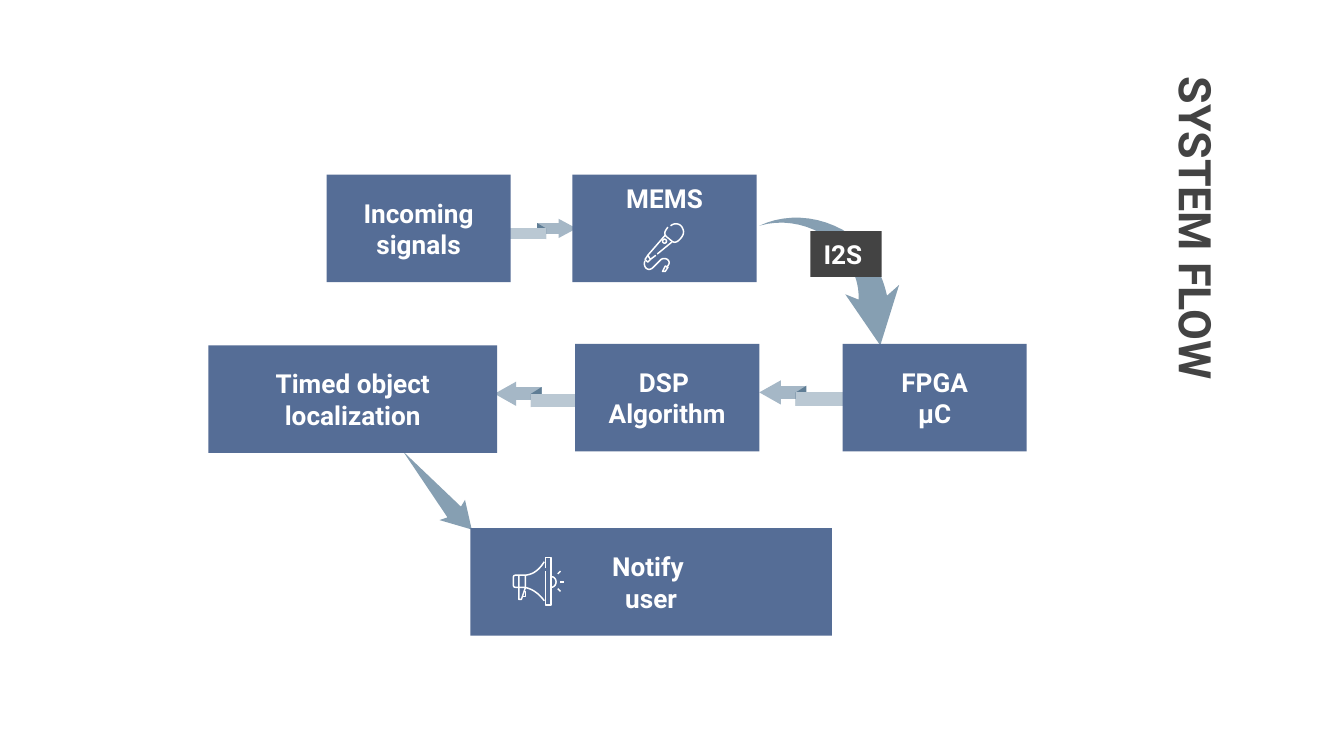
from pptx import Presentation
from pptx.dml.color import RGBColor
from pptx.enum.shapes import MSO_SHAPE as SHAPE
from pptx.enum.text import MSO_ANCHOR as ANCHOR, MSO_AUTO_SIZE as AUTO, PP_ALIGN as ALIGN
from pptx.util import Inches, Pt

FONT = "Roboto"
WHITE = RGBColor(0xFF, 0xFF, 0xFF)
DARK = RGBColor(0x43, 0x43, 0x43)
BLUE = RGBColor(0x55, 0x6D, 0x96)
STEEL = RGBColor(0x86, 0x9F, 0xB2)
RIBBON = RGBColor(0xA5, 0xB7, 0xC6)
RIBBON_FOLD = RGBColor(0x5F, 0x7D, 0x95)
RIBBON_TAIL = RGBColor(0xBA, 0xC8, 0xD3)

# Content: text, left, top, width
TITLE = "SYSTEM FLOW"
BOX_H = 0.8
BOXES = [
    ("Incoming signals", 2.43, 1.3, 1.37),
    ("MEMS", 4.26, 1.3, 1.37),
    ("FPGA\vµC", 6.27, 2.56, 1.37),
    ("DSP \nAlgorithm", 4.28, 2.56, 1.37),
    ("Timed object localization", 1.55, 2.57, 2.15),
    ("Notify \vuser", 3.5, 3.93, 2.69),
]

# Ribbon arrows: tip x, tip y, horizontal scale (negative points right), vertical scale
RIBBONS = [(3.68, 2.93, 1, 1), (4.29, 1.7, -0.84, 0.8), (5.65, 2.92, 1, 1)]
RIBBON_PARTS = [
    (RIBBON, [(0, 0), (0.16, -0.09), (0.16, 0.09)]),
    (RIBBON, [(0.15, -0.05), (0.35, -0.05), (0.35, 0.05), (0.15, 0.05)]),
    (RIBBON_FOLD, [(0.35, -0.05), (0.35, 0.05), (0.27, 0.1), (0.27, 0)]),
    (RIBBON_TAIL, [(0.27, 0), (0.62, 0), (0.62, 0.1), (0.27, 0.1)]),
]

# Outlines: two numbers are a corner, six numbers are a cubic curve
BUS_ARROW = [
    (6.69, 2.12), (6.6, 2.2), (6.58, 2.11, 6.55, 2.03, 6.5, 1.95),
    (6.45, 1.85, 6.36, 1.77, 6.27, 1.71), (6.07, 1.6, 5.84, 1.59, 5.65, 1.68),
    (5.85, 1.62, 6.06, 1.68, 6.2, 1.8), (6.27, 1.86, 6.32, 1.94, 6.35, 2.03),
    (6.38, 2.09, 6.39, 2.16, 6.39, 2.23), (6.29, 2.19), (6.55, 2.57),
]
NOTIFY_ARROW = [(3.46, 3.72), (3.43, 3.77), (3, 3.36), (3.33, 3.85),
                (3.27, 3.87), (3.51, 3.94)]

# Icon strokes
MICROPHONE = [
    [(4.99, 1.68), (5.03, 1.65, 5.07, 1.67, 5.08, 1.7),
     (5.1, 1.74, 5.07, 1.77, 5.05, 1.79), (5.01, 1.82, 5, 1.79, 4.97, 1.77),
     (4.93, 1.74, 4.95, 1.72, 4.97, 1.69)],
    [(4.95, 1.75), (4.82, 1.9), (4.84, 1.93), (4.88, 1.9)],
    [(4.89, 1.89), (5, 1.8)],
    [(4.82, 1.9), (4.8, 1.93), (4.82, 1.95), (4.84, 1.93)],
    [(4.8, 1.94), (4.78, 1.98, 4.82, 2.03, 4.86, 1.99), (4.92, 1.93),
     (4.95, 1.91, 5.01, 1.94, 4.96, 1.99)],
    [(4.95, 1.98), (4.97, 1.99), (4.95, 2.02), (4.93, 2.02), (4.95, 1.98)],
]
MEGAPHONE = [
    [(4.06, 4.23), (4.06, 4.15), (4.1, 4.15), (4.1, 4.5), (4.06, 4.5), (4.06, 4.25)],
    [(4.05, 4.18), (4.02, 4.23, 3.97, 4.28, 3.9, 4.28), (3.84, 4.28),
     (3.82, 4.28, 3.82, 4.29, 3.82, 4.3), (3.82, 4.35),
     (3.82, 4.36, 3.82, 4.37, 3.84, 4.37), (3.9, 4.37),
     (3.97, 4.38, 4.02, 4.43, 4.05, 4.47)],
    [(3.86, 4.28), (3.86, 4.46), (3.88, 4.46), (3.91, 4.37), (3.91, 4.28)],
    [(3.9, 4.4), (3.91, 4.4), (3.91, 4.44), (3.89, 4.44)],
    [(4.1, 4.29), (4.15, 4.29, 4.15, 4.37, 4.1, 4.37)],
    [(4.17, 4.33), (4.2, 4.33)],
    [(4.15, 4.27), (4.17, 4.25)],
    [(4.15, 4.38), (4.17, 4.4)],
]


def flatten(outline, steps=10):
    """Turn an outline with cubic curves into plain points."""
    points = []
    for part in outline:
        if len(part) == 2:
            points.append(part)
            continue
        curve = [points[-1], part[:2], part[2:4], part[4:]]
        for i in range(1, steps + 1):
            t = i / steps
            weights = ((1 - t) ** 3, 3 * t * (1 - t) ** 2, 3 * t * t * (1 - t), t ** 3)
            points.append(tuple(sum(w * c[axis] for w, c in zip(weights, curve))
                                for axis in (0, 1)))
    return points


def add_outline(s, outline, color, stroke=False):
    """Draw a filled outline, or an open stroke."""
    points = [(Inches(x), Inches(y)) for x, y in flatten(outline)]
    builder = s.shapes.build_freeform(*points[0], scale=1.0)
    builder.add_line_segments(points[1:], close=not stroke)
    sp = builder.convert_to_shape()
    sp.shadow.inherit = False
    if stroke:
        sp.fill.background()
        sp.line.color.rgb = color
        sp.line.width = Pt(0.8)
    else:
        sp.fill.solid()
        sp.fill.fore_color.rgb = color
        sp.line.fill.background()


def set_text(sp, text, size, color, align):
    tf = sp.text_frame
    tf.text = text
    tf.word_wrap = True
    tf.auto_size = AUTO.NONE
    tf.vertical_anchor = ANCHOR.MIDDLE
    tf.margin_left = tf.margin_right = tf.margin_top = tf.margin_bottom = Inches(0.1)
    for p in tf.paragraphs:
        p.alignment = align
        p.font.name, p.font.size, p.font.bold = FONT, Pt(size), True
        p.font.color.rgb = color
    return tf


def add_box(s, text, left, top, width, height=BOX_H, fill=BLUE, align=ALIGN.CENTER):
    sp = s.shapes.add_shape(SHAPE.RECTANGLE, Inches(left), Inches(top),
                            Inches(width), Inches(height))
    sp.shadow.inherit = False
    sp.fill.solid()
    sp.fill.fore_color.rgb = fill
    sp.line.fill.background()
    return set_text(sp, text, 14, WHITE, align)


def main():
    prs = Presentation()
    prs.slide_width, prs.slide_height = Inches(10), Inches(10 * 9 / 16)
    s = prs.slides.add_slide(prs.slide_layouts[0])
    subtitle = s.placeholders[1].element
    subtitle.getparent().remove(subtitle)

    # Vertical title
    title = s.shapes.title
    title.left, title.top = Inches(7.31), Inches(1.8)
    title.width, title.height = Inches(3.19), Inches(0.53)
    title.rotation = 90
    set_text(title, TITLE, 24, DARK, ALIGN.LEFT)

    # Arrows
    for x, y, sx, sy in RIBBONS:
        for color, part in RIBBON_PARTS:
            add_outline(s, [(x + sx * dx, y + sy * dy) for dx, dy in part], color)
    for arrow in (BUS_ARROW, NOTIFY_ARROW):
        add_outline(s, arrow, STEEL)

    # Steps and bus label
    for text, left, top, width in BOXES:
        tf = add_box(s, text, left, top, width)
        if text == "MEMS":  # leaves room for the microphone
            tf.vertical_anchor = ANCHOR.TOP
            tf.margin_top = Inches(0.06)
    add_box(s, "I2S", 6.03, 1.72, 0.53, 0.34, DARK, ALIGN.LEFT)

    # Icons
    for stroke in MICROPHONE + MEGAPHONE:
        add_outline(s, stroke, WHITE, stroke=True)
    button = s.shapes.add_shape(SHAPE.OVAL, Inches(4.93), Inches(1.78),
                                Inches(0.03), Inches(0.03))
    button.shadow.inherit = False
    button.fill.background()
    button.line.color.rgb = WHITE
    button.line.width = Pt(0.8)

    prs.save("out.pptx")


if __name__ == "__main__":
    main()
